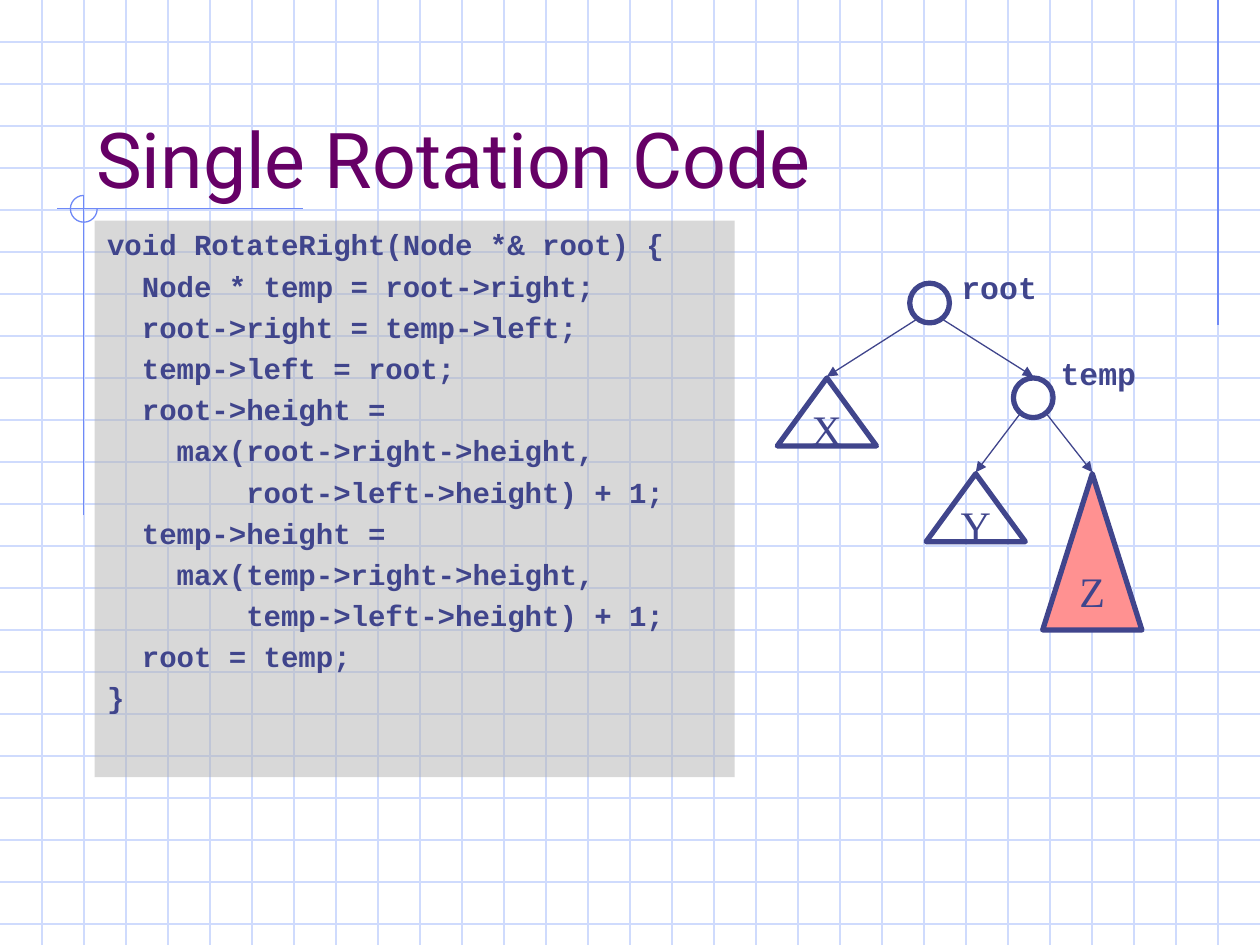
from lxml.etree import SubElement
from pptx import Presentation
from pptx.dml.color import RGBColor
from pptx.enum.shapes import MSO_CONNECTOR as Link, MSO_SHAPE as Shape
from pptx.enum.text import MSO_ANCHOR as Anchor, PP_ALIGN as Align
from pptx.oxml.ns import qn
from pptx.util import Cm, Pt

WIDTH, HEIGHT = 25.4, 19.05
GRID_STEP = WIDTH / 30
INK, GRID, ACCENT = "40458C", "CFDBFD", "6F89F7"
NODE_SIZE = 0.8
CODE = """void RotateRight(Node *& root) {
  Node * temp = root->right;
  root->right = temp->left;
  temp->left = root;
  root->height =
    max(root->right->height,
        root->left->height) + 1;
  temp->height =
    max(temp->right->height,
        temp->left->height) + 1;
  root = temp;
}"""


def color(value):
    """Turn a hex string into a colour."""
    return RGBColor.from_string(value)


def add_line(page, start, end, shade, arrow=False):
    """Draw a thin straight line, with an arrowhead at its end if asked."""
    line = page.shapes.add_connector(Link.STRAIGHT, *map(Cm, start + end))
    line.line.color.rgb = color(shade)
    line.line.width = Pt(0.75)
    if arrow:
        SubElement(line.line._get_or_add_ln(), qn("a:tailEnd"), type="triangle")
    SubElement(line._element.spPr, qn("a:effectLst"))


def add_outline(page, kind, left, top, width, height, shade, weight, fill=None):
    """Draw a preset shape with an outline and an optional fill."""
    shape = page.shapes.add_shape(kind, Cm(left), Cm(top), Cm(width), Cm(height))
    shape.shadow.inherit = False
    shape.line.color.rgb = color(shade)
    shape.line.width = Pt(weight)
    if fill:
        shape.fill.solid()
        shape.fill.fore_color.rgb = color(fill)
    else:
        shape.fill.background()
    return shape


def add_span(para, text, size, face, shade=INK, bold=False):
    """Add one formatted run to a paragraph."""
    span = para.add_run()
    span.text = text
    span.font.size = Pt(size)
    span.font.name = face
    span.font.bold = bold
    span.font.color.rgb = color(shade)


def add_background(page, width, height):
    """Rule the grid paper and the accent lines."""
    for row in range(1, int(height / GRID_STEP) + 1):
        add_line(page, (0, row * GRID_STEP), (width, row * GRID_STEP), GRID)
    for column in range(1, 30):
        add_line(page, (column * GRID_STEP, 0), (column * GRID_STEP, height), GRID)
    add_line(page, (29 * GRID_STEP, 0), (29 * GRID_STEP, 6.55), ACCENT)
    add_line(page, (6.1, 4.21), (1.14, 4.21), ACCENT)
    add_line(page, (1.69, 3.94), (1.69, 10.39), ACCENT)
    arc = add_outline(page, Shape.ARC, 1.42, 3.94, 0.54, 0.54, ACCENT, 0.75)
    arc.adjustments[0] = 0
    arc.adjustments[1] = 162


def add_title(page, left, top, width, height):
    """Set the title at the foot of its box."""
    box = page.shapes.add_textbox(Cm(left), Cm(top), Cm(width), Cm(height))
    frame = box.text_frame
    frame.word_wrap = True
    frame.vertical_anchor = Anchor.BOTTOM
    add_span(frame.paragraphs[0], "Single Rotation Code", 44, "Roboto", "660066")


def add_code(page, left, top, width, height):
    """Set the listing on a half-transparent grey panel."""
    panel = page.shapes.add_shape(Shape.RECTANGLE, Cm(left), Cm(top), Cm(width), Cm(height))
    panel.shadow.inherit = False
    panel.line.fill.background()
    panel.fill.solid()
    panel.fill.fore_color.rgb = color("B2B2B2")
    tint = panel._element.spPr.find(qn("a:solidFill"))[0]
    SubElement(tint, qn("a:alpha"), val="50000")
    frame = panel.text_frame
    frame.word_wrap = True
    frame.vertical_anchor = Anchor.TOP
    for index, text in enumerate(CODE.splitlines()):
        para = frame.add_paragraph() if index else frame.paragraphs[0]
        para.alignment = Align.LEFT
        para.space_before = Pt(3.6 if index else 0)
        add_span(para, text, 16.6, "Courier New", bold=True)


def add_node(page, center, top):
    """Draw a tree node as a ring."""
    add_outline(page, Shape.OVAL, center - NODE_SIZE / 2, top, NODE_SIZE, NODE_SIZE, INK, 3)


def add_label(page, left, top, text):
    """Name a node beside its ring."""
    box = page.shapes.add_textbox(Cm(left), Cm(top), Cm(2.03), Cm(1.02))
    box.text_frame.word_wrap = False
    add_span(box.text_frame.paragraphs[0], text, 18, "Courier New", bold=True)


def add_subtree(page, center, top, height, name, fill=None):
    """Draw a lettered triangle for a subtree."""
    triangle = add_outline(page, Shape.ISOSCELES_TRIANGLE, center - 1, top, 2, height, INK, 3, fill)
    frame = triangle.text_frame
    frame.word_wrap = False
    frame.vertical_anchor = Anchor.MIDDLE
    para = frame.paragraphs[0]
    para.alignment = Align.CENTER
    add_span(para, name, 24, "Times New Roman")


def add_pointer(page, parent, child):
    """Point from the lower edge of a node to the top of its child."""
    side = 0.28 if child[0] > parent[0] else -0.28
    start = (parent[0] + side, parent[1] + 0.74)
    add_line(page, start, (child[0], child[1] - 0.03), INK, arrow=True)


def add_tree(page, left, top):
    """Draw the tree before the rotation."""
    root, temp = (left + 3.07, top + 0.43), (left + 5.16, top + 2.34)
    x, y, z = (left + 1, top + 2.34), (left + 4, top + 4.27), (left + 6.35, top + 4.27)
    for parent, child in ((root, x), (root, temp), (temp, y), (temp, z)):
        add_pointer(page, parent, child)
    add_node(page, *root)
    add_node(page, *temp)
    add_subtree(page, *x, 1.37, "X")
    add_subtree(page, *y, 1.37, "Y")
    add_subtree(page, *z, 3.15, "Z", "FF9191")
    add_label(page, left + 3.46, top, "root")
    add_label(page, left + 5.46, top + 1.73, "temp")


def main():
    """Build the slide and save it."""
    deck = Presentation()
    deck.slide_width, deck.slide_height = Cm(WIDTH), Cm(HEIGHT)
    page = deck.slides.add_slide(deck.slide_layouts[6])
    add_background(page, WIDTH, HEIGHT)
    add_title(page, 1.69, 1.06, 21.59, 3.18)
    add_code(page, 1.91, 4.45, 12.9, 11.22)
    add_tree(page, 15.67, 5.28)
    deck.save("out.pptx")


if __name__ == "__main__":
    main()
